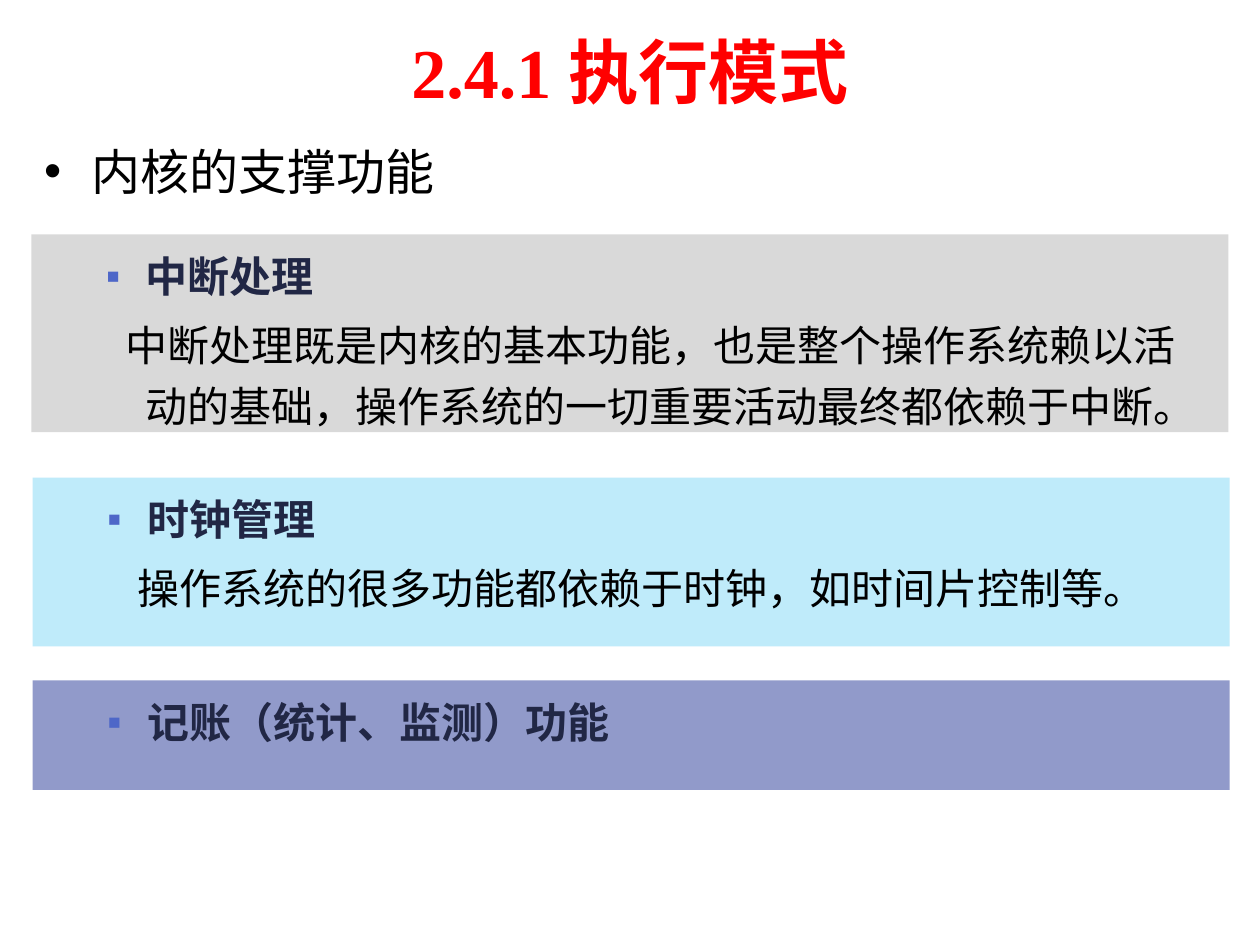
from lxml import etree
from pptx import Presentation
from pptx import util as u
from pptx.dml.color import RGBColor
from pptx.enum import shapes, text
from pptx.oxml import ns


def style(paragraph, size, color, bold=False, font="Arial"):
    paragraph.font.size = u.Pt(size)
    paragraph.font.name = font
    paragraph.font.bold = bold
    paragraph.font.color.rgb = RGBColor.from_string(color)


def indent(paragraph, margin, first, bullet=None, color="000000", percent=100):
    properties = paragraph._p.get_or_add_pPr()
    properties.set("marL", str(u.Inches(margin)))
    properties.set("indent", str(u.Inches(first)))
    if bullet is None:
        etree.SubElement(properties, ns.qn("a:buNone"))
        return
    bullet_color = etree.SubElement(properties, ns.qn("a:buClr"))
    etree.SubElement(bullet_color, ns.qn("a:srgbClr"), val=color)
    etree.SubElement(properties, ns.qn("a:buSzPct"), val=str(percent * 1000))
    etree.SubElement(properties, ns.qn("a:buFont"), typeface="Arial")
    etree.SubElement(properties, ns.qn("a:buChar"), char=bullet)


presentation = Presentation()
presentation.slide_width = u.Inches(10)
presentation.slide_height = u.Inches(7.5)
slide = presentation.slides.add_slide(presentation.slide_layouts[1])
margin = u.Inches(0.25)
content_width = presentation.slide_width - 2 * margin

title = slide.shapes.title
title.left, title.top = u.Inches(0.5), u.Inches(0.05)
title.width, title.height = u.Inches(9), u.Inches(1.02)
title.text_frame.text = "2.4.1 执行模式"
title.text_frame.vertical_anchor = text.MSO_ANCHOR.MIDDLE
heading = title.text_frame.paragraphs[0]
heading.alignment = text.PP_ALIGN.CENTER
style(heading, 40, "FF0000", True, "Times New Roman")

body = slide.placeholders[1]
body.left, body.top = margin, u.Inches(1.07)
body.width, body.height = content_width, u.Inches(4.95)
body.text_frame.text = "内核的支撑功能"
topic = body.text_frame.paragraphs[0]
indent(topic, 0.38, -0.38, "•")
style(topic, 28, "000000")

panels = [
    (0.25, 1.86, 1.57, "D9D9D9", "中断处理", -0.16,
     "中断处理既是内核的基本功能，也是整个操作系统赖以活动的基础，操作系统的一切重要活动最终都依赖于中断。"),
    (0.26, 3.79, 1.34, "BFEBFA", "时钟管理", -0.08,
     "操作系统的很多功能都依赖于时钟，如时间片控制等。"),
    (0.26, 5.4, 0.87, "919ACA", "记账（统计、监测）功能", 0, None),
]
for left, top, height, fill, name, first, detail in panels:
    panel = slide.shapes.add_shape(shapes.MSO_SHAPE.RECTANGLE, u.Inches(left), u.Inches(top),
                                   content_width, u.Inches(height))
    panel.shadow.inherit = False
    panel.fill.solid()
    panel.fill.fore_color.rgb = RGBColor.from_string(fill)
    panel.line.fill.background()
    frame = panel.text_frame
    frame.word_wrap = True
    frame.vertical_anchor = text.MSO_ANCHOR.TOP
    frame.text = name
    paragraph = frame.paragraphs[0]
    indent(paragraph, 0.81, -0.31, "■", "4E67C8", 50)
    style(paragraph, 24, "212745", True)
    if detail:
        paragraph = frame.add_paragraph()
        paragraph.text = detail
        indent(paragraph, 0.81, first)
        paragraph.space_before = u.Pt(5)
        style(paragraph, 24, "000000")
    for paragraph in frame.paragraphs:
        paragraph.level = 1
        paragraph.alignment = text.PP_ALIGN.LEFT
        paragraph.line_spacing = 1.2

presentation.save("out.pptx")
